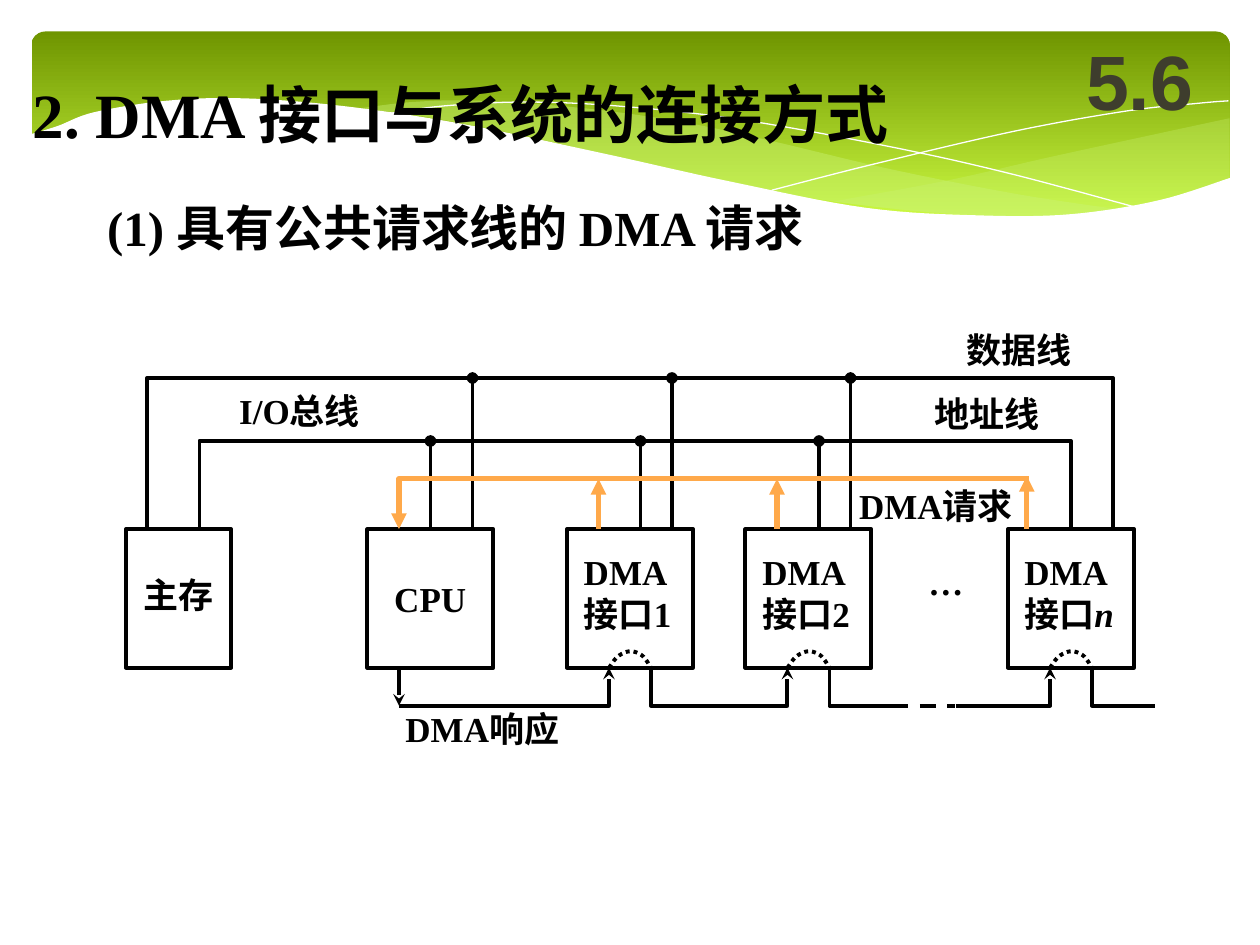
from lxml import etree
from pptx import Presentation
from pptx.dml.color import RGBColor
from pptx.enum import dml, shapes, text
from pptx.oxml import ns
from pptx.util import Pt

theme = {
    "ink": "000000", "gold": "FFA94A", "white": "FFFFFF", "grey": "3E3D2D",
    "dark": "6F9500", "lime": "D0FF44", "pale": "CAF278",
    "serif": "Times New Roman", "sans": "Arial",
    "title": 36, "list": 28, "label": 20, "mark": 44,
}

deck = Presentation()
deck.slide_width, deck.slide_height = Pt(720), Pt(540)
slide = deck.slides.add_slide(deck.slide_layouts[1])
tree = slide.shapes


def draw(*curves, soft=False, fill=None, alpha=100, line=None, width=2.25, dash=None, tip=None):
    spots = []
    for curve in curves:
        if not soft:
            spots += curve
            continue
        ends = [curve[0], *curve, curve[-1]]
        for a, b, c, d in zip(ends, ends[1:], ends[2:], ends[3:]):
            for t in [n / 8 for n in range(8)]:
                spots.append([
                    (2 * q + (r - p) * t + (2 * p - 5 * q + 4 * r - s) * t**2
                     + (3 * q - p - 3 * r + s) * t**3) / 2
                    for p, q, r, s in zip(a, b, c, d)])
        spots.append(curve[-1])
    spots = [(Pt(x), Pt(y)) for x, y in spots]
    if len(spots) == 2:
        shape = tree.add_connector(shapes.MSO_CONNECTOR.STRAIGHT, *spots[0], *spots[1])
    else:
        build = tree.build_freeform(*spots[0])
        build.add_line_segments(spots[1:], close=bool(fill))
        shape = build.convert_to_shape()
        if fill:
            shape.fill.solid()
            shape.fill.fore_color.rgb = RGBColor.from_string(theme[fill])
            tint = shape.element.spPr.find(".//" + ns.qn("a:srgbClr"))
            etree.SubElement(tint, ns.qn("a:alpha"), val=str(alpha * 1000))
        else:
            shape.fill.background()
    if line:
        shape.line.color.rgb = RGBColor.from_string(theme[line])
        shape.line.width = Pt(width)
        if dash:
            shape.line.dash_style = dash
        if tip:
            etree.SubElement(shape.element.spPr.find(ns.qn("a:ln")), ns.qn("a:tailEnd"), type=tip)
    else:
        shape.line.fill.background()
    etree.SubElement(shape.element.spPr, ns.qn("a:effectLst"))


def write(words, left, top, width, height, size="label", face="serif", tone="ink",
          wrap=False, align=text.PP_ALIGN.LEFT, anchor=text.MSO_ANCHOR.TOP, box=None):
    box = box or tree.add_textbox(0, 0, 0, 0)
    tree.element.append(box.element)
    place = {"left": left, "top": top, "width": width, "height": height}
    for key, value in place.items():
        setattr(box, key, Pt(value))
    frame = box.text_frame
    look = {"word_wrap": wrap, "auto_size": text.MSO_AUTO_SIZE.NONE, "vertical_anchor": anchor,
            "margin_left": Pt(7.2), "margin_right": Pt(7.2),
            "margin_top": Pt(3.6), "margin_bottom": Pt(3.6)}
    for key, value in look.items():
        setattr(frame, key, value)
    for n, row in enumerate(words.split("\n")):
        para = frame.add_paragraph() if n else frame.paragraphs[0]
        para.alignment, para.space_before = align, Pt(0)
        for part in row.split("|"):
            run = para.add_run()
            run.text = part
            font = {"name": theme[face], "size": Pt(theme[size]), "bold": True,
                    "italic": part == "n"}
            for key, value in font.items():
                setattr(run.font, key, value)
            run.font.color.rgb = RGBColor.from_string(theme[tone])


band = tree.add_shape(shapes.MSO_SHAPE.ROUNDED_RECTANGLE, Pt(18), Pt(18), Pt(684.7), Pt(112.3))
band.adjustments[0] = 0.07
band.shadow.inherit = False
band.line.fill.background()
band.fill.gradient()
band.fill.gradient_angle = 270
for stop, tone, spot in zip(band.fill.gradient_stops, ("dark", "lime"), (0, 1)):
    stop.color.rgb = RGBColor.from_string(theme[tone])
    stop.position = spot

draw([(702, 67.7), (662, 76.3), (599, 90), (542, 103), (476, 115.2)],
     [(476, 115.2), (517, 120.2), (562, 123.5), (608, 123.1), (652, 117.4), (683, 109.4),
      (702.7, 101.5)],
     [(702.7, 101.5), (702.7, 67.7)], soft=True, fill="pale", alpha=29)
draw([(643, 120.2), (581, 110.9), (508, 96.5), (441, 80.6), (390, 69.8), (334, 61.9),
      (274, 57.6), (236, 58.3), (206, 61.9)],
     [(206, 61.9), (246, 67.3), (307, 79.2), (382, 97.2), (445, 110.2), (500, 118.1),
      (557, 123), (610, 124.2), (643, 120.2)], soft=True, fill="pale", alpha=40)
draw([(222.5, 64.8), (254, 60.5), (300, 58.3), (352, 60.5), (419, 67.7), (500, 82.1),
      (572, 97.9), (653, 119.5)], soft=True, line="white", width=0)
draw([(441, 108.7), (500, 93.6), (580, 74.9), (644, 63.4), (685, 59), (702, 57.6)],
     soft=True, line="white", width=0)
draw([(703.4, 101.5), (662, 114.5), (612, 122.4), (560, 123.1), (495, 118.8), (417, 103.7),
      (342, 87.1), (263, 70.6), (195, 60.5), (139, 56.2), (95, 57.6), (54, 64.1), (33, 72),
      (16.6, 77)],
     [(16.6, 161.3), (703.4, 161.3)], soft=True, fill="white")

write("2. DMA 接口与系统的连接方式", 11.5, 39.6, 514, 50.4, size="title", box=tree.title)
body = slide.placeholders[1]
props = body.text_frame.paragraphs[0]._p.get_or_add_pPr()
props.set("marL", "0")
props.set("indent", "0")
etree.SubElement(props, ns.qn("a:buNone"))
write("(1) 具有公共请求线的 DMA 请求", 54, 109.4, 473.8, 41, size="list", wrap=True, box=body)
write("5.6", 606.2, 12.2, 90, 66.2, size="mark", face="sans", tone="grey", wrap=True,
      align=text.PP_ALIGN.CENTER, anchor=text.MSO_ANCHOR.MIDDLE)

top, base, data, addr, call, reply = 302.4, 381.6, 216, 252, 273.6, 403.2
cpu, one, two, last = 210, 324, 426, 576

for left, width in ((72, 60), (cpu, 72), (one, 72), (two, 72), (last, 72)):
    box = tree.add_shape(shapes.MSO_SHAPE.RECTANGLE, Pt(left), Pt(top), Pt(width), Pt(base - top))
    box.shadow.inherit = False
    box.fill.background()
    box.line.color.rgb = RGBColor.from_string(theme["ink"])
    box.line.width = Pt(2.25)

draw([(84, top), (84, data), (last + 60, data), (last + 60, top)], line="ink")
draw([(114, top), (114, addr), (last + 36, addr), (last + 36, top)], line="ink")
for left, gap in ((cpu, 36), (one, 42), (two, 42)):
    draw([(left + 60, top), (left + 60, data)], line="ink", tip="oval")
    draw([(left + gap, top), (left + gap, addr)], line="ink", tip="oval")

draw([(cpu + 18, base), (cpu + 18, reply)], line="ink", tip="stealth")
draw([(cpu + 18, reply), (one + 24, reply), (one + 24, base)], line="ink", tip="stealth")
draw([(one + 48, base), (one + 48, reply), (two + 24, reply), (two + 24, base)],
     line="ink", tip="stealth")
draw([(546, reply), (last + 24, reply), (last + 24, base)], line="ink", tip="stealth")
draw([(510, reply), (546, reply)], line="ink", dash=dml.MSO_LINE.DASH)
for left in (two, last):
    draw([(left + 48, base), (left + 48, reply), (left + 84, reply)], line="ink")
for left in (one, two, last):
    draw([(left + x, base - y) for x, y in ((24, 0), (29, 6.4), (36, 9.4), (43, 6.9), (48, 0))],
         soft=True, line="ink", dash=dml.MSO_LINE.ROUND_DOT)

draw([(588, call), (cpu + 18, call), (cpu + 18, top)], line="gold", width=3, tip="triangle")
for x, y in ((one + 18, call), (two + 18, call), (last + 10.8, 272)):
    draw([(x, top), (x, y)], line="gold", width=3, tip="triangle")

for words, left, high, width, tall in (
    ("主存", 75, 324, 54, 31.7),
    ("CPU", 218.2, 326.2, 55.4, 31.7),
    ("DMA\n接口1", 326.5, 311, 69.1, 55.4),
    ("DMA\n接口2", 428.5, 311, 69.1, 55.4),
    ("DMA\n接口|n", 578.2, 311, 70.6, 55.4),
    ("…", 523.4, 316.8, 34.6, 31.7),
    ("DMA响应", 224.6, 401, 107.3, 31.7),
    ("I/O总线", 129.6, 218.9, 87.8, 31.7),
    ("数据线", 545, 184.3, 74.2, 31.7),
    ("地址线", 527, 221, 74.2, 31.7),
    ("DMA请求", 483.8, 273.6, 107.3, 31.7),
):
    write(words, left, high, width, tall)

deck.save("out.pptx")
